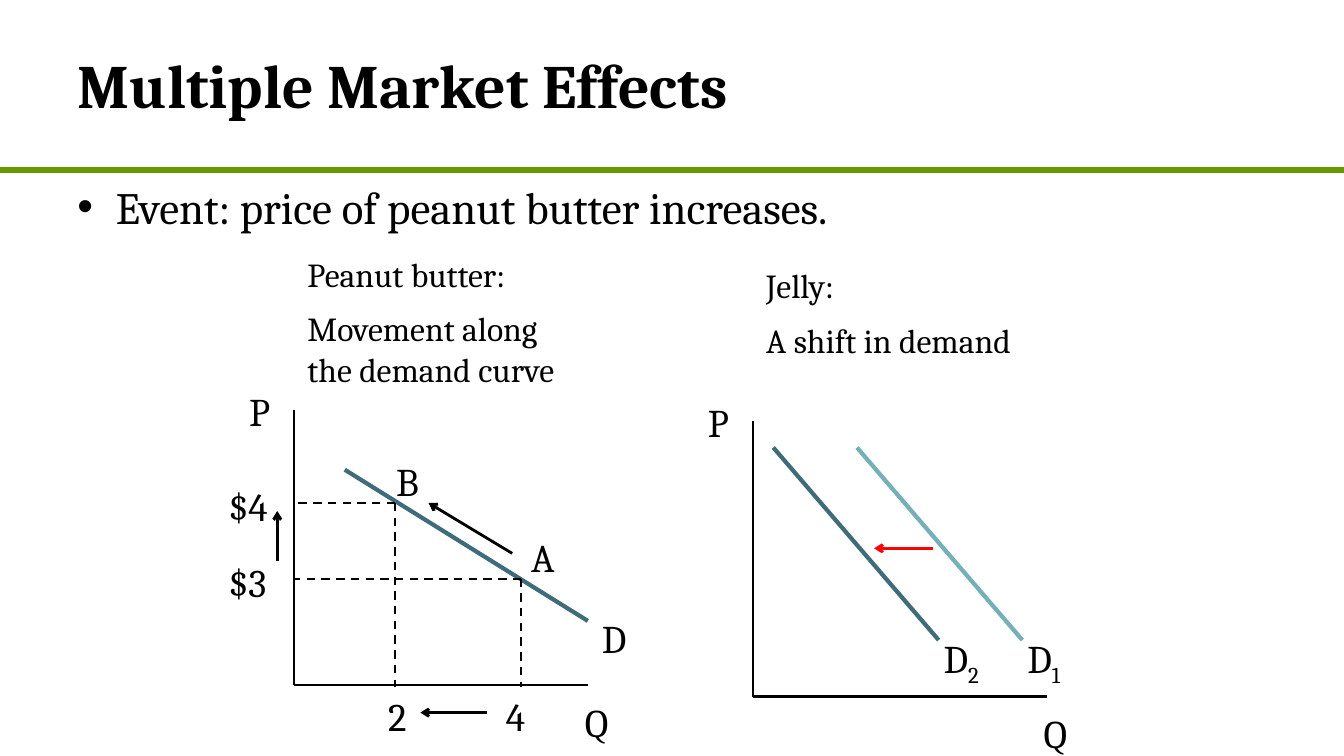
from lxml import etree
from pptx import Presentation
from pptx.dml.color import RGBColor
from pptx.enum import dml, shapes, text
from pptx.oxml import ns
from pptx.util import Inches, Pt

BLACK, DARK_TEAL, LIGHT_TEAL = "000000", "3F6C79", "75AFB7"
TIGHT = (0.05, 0.02)
NORMAL = (0.1, 0.05)


def fill_text(shape, box, lines, size, insets=NORMAL, bold=False, after=10,
              anchor=text.MSO_ANCHOR.TOP, bullet=None):
    for name, value in zip(("left", "top", "width", "height"), box):
        setattr(shape, name, Inches(value))
    frame = shape.text_frame
    side, end = (Inches(inset) for inset in insets)
    frame_format = {"word_wrap": True, "auto_size": text.MSO_AUTO_SIZE.NONE,
                    "vertical_anchor": anchor, "margin_left": side,
                    "margin_right": side, "margin_top": end, "margin_bottom": end}
    for name, value in frame_format.items():
        setattr(frame, name, value)
    for index, line in enumerate(lines):
        paragraph = frame.add_paragraph() if index else frame.paragraphs[0]
        paragraph.alignment = text.PP_ALIGN.LEFT
        paragraph.space_after = Pt(after)
        if bullet:
            properties = paragraph._p.get_or_add_pPr()
            properties.set("marL", str(Inches(0.38)))
            properties.set("indent", str(Inches(-0.38)))
            etree.SubElement(properties, ns.qn("a:buFont")).set("typeface", "Arial")
            etree.SubElement(properties, ns.qn("a:buChar")).set("char", bullet)
        main, _, subscript = line.partition("_")
        for part, baseline in ((main, None), (subscript, "-25000")):
            if not part:
                continue
            run = paragraph.add_run()
            run.text = part
            font_format = {"name": "Cambria", "size": Pt(size), "bold": bold}
            for name, value in font_format.items():
                setattr(run.font, name, value)
            run.font.color.rgb = RGBColor.from_string(BLACK)
            if baseline:
                run._r.get_or_add_rPr().set("baseline", baseline)


def add_line(start, end, color=BLACK, width=1.5, dashed=False, arrow=False):
    line = slide.shapes.add_connector(
        shapes.MSO_CONNECTOR.STRAIGHT, *(Inches(value) for value in start + end))
    line.line.color.rgb = RGBColor.from_string(color)
    line.line.width = Pt(width)
    if dashed:
        line.line.dash_style = dml.MSO_LINE.DASH
    if arrow:
        tail = etree.SubElement(line.line._get_or_add_ln(), ns.qn("a:tailEnd"))
        tail.set("type", "arrow")
    etree.SubElement(line._element.spPr, ns.qn("a:effectLst"))


presentation = Presentation()
presentation.slide_width = Inches(13.33)
presentation.slide_height = Inches(7.5)
slide = presentation.slides.add_slide(presentation.slide_layouts[5])

add_line((0, 1.69), (13.33, 1.69), "669900", 4.5)
fill_text(slide.shapes.title, (0.67, 0, 12, 1.67), ["Multiple Market Effects"], 44,
          bold=True, after=0, anchor=text.MSO_ANCHOR.MIDDLE)

event_box = slide.shapes.add_textbox(0, 0, 0, 0)
fill_text(event_box, (0.67, 1.73, 12, 5.35),
          ["Event: price of peanut butter increases."], 32, after=0, bullet="•")

markets = [
    (2.92, 6.8, 1.42, ["Peanut butter:", "Movement along the demand curve"]),
    (7.47, 6.91, 1.08, ["Jelly:", "A shift in demand"]),
]
labels = []
for axis_left, axis_bottom, heading_height, heading in markets:
    add_line((axis_left, axis_bottom - 2.73), (axis_left, axis_bottom))
    add_line((axis_left + 2.91, axis_bottom), (axis_left, axis_bottom))
    heading_box = slide.shapes.add_textbox(0, 0, 0, 0)
    fill_text(heading_box, (axis_left + 0.08, axis_bottom - 4.3, 2.83, heading_height),
              heading, 24, TIGHT)
    labels += [("P", axis_left - 0.5, axis_bottom - 2.98, 0.44, TIGHT),
               ("Q", axis_left + 2.83, axis_bottom + 0.11, 0.44, TIGHT)]

add_line((3.42, 4.66), (5.83, 6.16), DARK_TEAL, 3)
for quantity_x, price_y in ((3.92, 4.99), (5.17, 5.74)):
    add_line((quantity_x, price_y), (2.92, price_y), dashed=True)
    add_line((quantity_x, price_y), (quantity_x, 6.82), dashed=True)

for demand_left, name in ((8.5, "D_1"), (7.67, "D_2")):
    color = LIGHT_TEAL if name == "D_1" else DARK_TEAL
    add_line((demand_left, 4.44), (demand_left + 1.64, 6.35), color, 3)
    labels.append((name, demand_left + 1.64, 6.27, 0.61, TIGHT))

arrows = [
    ((2.75, 5.57), (2.75, 5.07), BLACK),
    ((4.83, 7.07), (4.17, 7.07), BLACK),
    ((5.08, 5.49), (4.25, 4.99), BLACK),
    ((9.25, 5.44), (8.67, 5.44), "FF0000"),
]
for start, end, color in arrows:
    add_line(start, end, color, 2, arrow=True)

labels += [
    ("$4", 2.17, 4.74, 0.67, NORMAL),
    ("$3", 2.17, 5.49, 0.67, NORMAL),
    ("2", 3.75, 6.82, 0.75, NORMAL),
    ("4", 4.92, 6.82, 0.5, NORMAL),
    ("A", 5.17, 5.24, 0.58, NORMAL),
    ("B", 3.83, 4.49, 0.5, NORMAL),
    ("D", 5.92, 6.07, 0.44, TIGHT),
]
for label, left, top, width, insets in labels:
    height = 0.42 if width == 0.44 else 0.58
    label_box = slide.shapes.add_textbox(0, 0, 0, 0)
    fill_text(label_box, (left, top, width, height), [label], 28, insets)

presentation.save("out.pptx")
